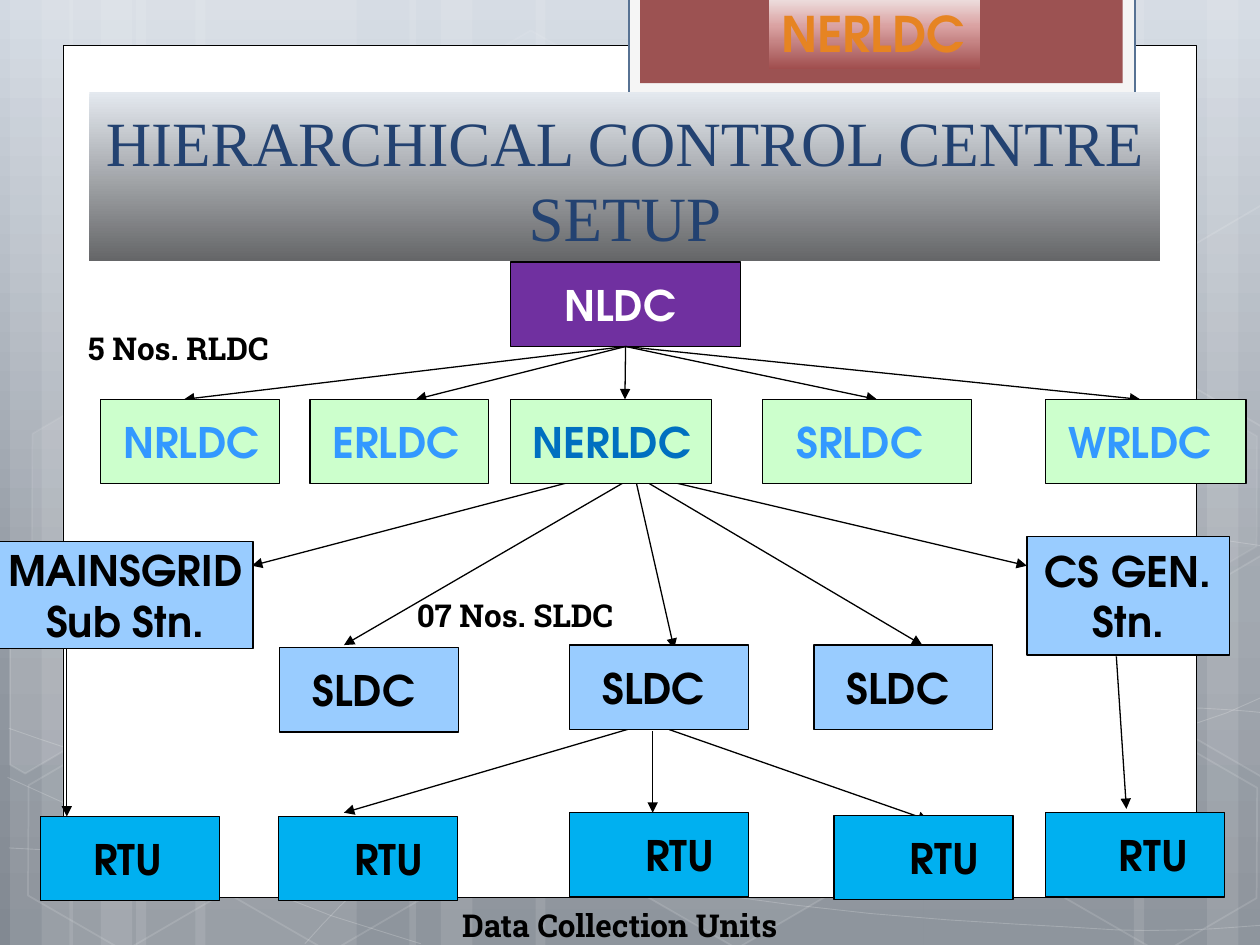
from copy import deepcopy

from lxml import etree
from pptx import Presentation
from pptx.dml.color import RGBColor
from pptx.enum.shapes import MSO_CONNECTOR, MSO_SHAPE
from pptx.enum.text import MSO_ANCHOR, PP_ALIGN
from pptx.oxml.ns import qn
from pptx.util import Inches, Pt

RECT, HEX = MSO_SHAPE.RECTANGLE, MSO_SHAPE.HEXAGON
STRAIGHT = MSO_CONNECTOR.STRAIGHT
LEFT, CENTER = PP_ALIGN.LEFT, PP_ALIGN.CENTER
TOP, MIDDLE, BOTTOM = MSO_ANCHOR.TOP, MSO_ANCHOR.MIDDLE, MSO_ANCHOR.BOTTOM

WHITE = RGBColor(0xFF, 0xFF, 0xFF)
BLACK = RGBColor(0, 0, 0)
SMOKE = RGBColor(0xF5, 0xF5, 0xF5)
STEEL = RGBColor(0x57, 0x72, 0x93)
BRICK = RGBColor(0x9C, 0x52, 0x52)
PURPLE = RGBColor(0x70, 0x30, 0xA0)
MINT = RGBColor(0xCC, 0xFF, 0xCC)
SKY = RGBColor(0x99, 0xCC, 0xFF)
CYAN = RGBColor(0x00, 0xB0, 0xF0)
AZURE = RGBColor(0x33, 0x99, 0xFF)
BLUE = RGBColor(0x00, 0x70, 0xC0)
NAVY = RGBColor(0x23, 0x42, 0x71)
ORANGE = RGBColor(0xE6, 0x84, 0x22)

BACK = [(0, "D2D9E2"), (0.62, "959CA5"), (1, "828992")]
GREY = [(0, "E4E9EF"), (1, "656668")]
ROSE = [(0, "EEE1E1"), (0.4, "DAA2A2"), (1, "A04E4E")]

NODE = dict(name="TeX Gyre Adventor", size=Pt(24), bold=True)
BADGE = dict(NODE, size=Pt(28))
NOTE = dict(name="Roboto Slab", size=Pt(18), bold=True)
TITLE = dict(name="Times New Roman", size=Pt(36), bold=False)

BANDS = [(1.08, 1.75), (0.08, 0.5), (0.33, 0.83), (1.55, 1.75), (0.55, 0.5), (0.8, 0.83),
         (7.33, 1.75), (9.58, 0.5), (9, 0.83), (4.25, 3.08), (3.25, 0.5), (3.5, 0.83)]

# Each curve: a start point, then three points per Bezier segment
CURVES = [
    [(0.07, 6.73), (0.61, 6.76), (1.15, 6.79), (1.9, 6.78), (2.65, 6.77), (3.58, 6.75),
     (4.58, 6.65), (5.58, 6.55), (7, 6.36), (7.92, 6.17), (8.83, 5.98), (9.77, 5.68), (10.07, 5.51)],
    [(0.07, 4.77), (0.36, 4.61), (0.65, 4.46), (1.21, 4.31), (1.78, 4.16), (2.59, 3.94),
     (3.47, 3.87), (4.36, 3.8), (5.44, 3.79), (6.54, 3.87), (7.64, 3.95), (9.47, 4.26), (10.07, 4.34)],
    [(0.06, 6.17), (1.27, 6.72), (2.47, 7.27), (3.34, 7.49)],
    [(0.07, 5.78), (0.38, 5.89), (0.7, 6), (1.28, 6.16), (1.86, 6.31), (2.73, 6.56),
     (3.57, 6.73), (4.4, 6.9), (5.45, 7.08), (6.28, 7.18), (7.11, 7.29), (8, 7.33),
     (8.53, 7.36), (9.05, 7.4), (9.19, 7.38), (9.45, 7.38), (9.71, 7.37), (9.89, 7.35), (10.07, 7.34)],
    [(2.42, 7.49), (2.6, 7.29), (2.78, 7.09), (3.02, 6.91), (3.26, 6.73), (3.6, 6.53),
     (3.88, 6.39), (4.16, 6.25), (4.33, 6.19), (4.7, 6.09), (5.06, 5.99), (5.73, 5.85),
     (6.08, 5.78), (6.44, 5.71), (6.49, 5.71), (6.8, 5.69), (7.11, 5.66), (7.6, 5.63),
     (7.94, 5.62), (8.29, 5.61), (8.86, 5.62), (9.53, 5.62), (9.71, 5.63), (9.88, 5.64), (10.06, 5.66)],
]
# left, top, fill opacity, line opacity
CELLS = [(3.34, 0.36, 4, 8), (4.97, 5.89, 6, 12), (0.11, 5.91, 0, 12), (0.14, 3.12, 7, 8), (1.74, 5.92, 0, 12),
         (7.53, 4.53, 10, 12), (8.34, 5.93, 0, 12), (8.34, 3.14, 7, 8)]
CUTS = [
    ([(0.08, 4.45), (0.19, 4.38), (0.96, 4.82), (0.95, 5.7), (0.2, 6.14), (0.08, 6.07)], 10),
    ([(9.26, 4.85), (10.01, 4.41), (10.09, 4.46), (10.09, 6.13), (10.02, 6.17), (9.26, 5.73)], 4),
    ([(9.26, 2.07), (10.01, 1.63), (10.1, 1.68), (10.09, 3.35), (10.02, 3.39), (9.26, 2.95)], 0),
]
HUB = (4.96, 2.75)
HEADS = [1.46, 3.3, 4.96, 6.96, 9.05]
LINKS = [
    ((4.95, 3.83), (2.73, 5.12)), ((5.05, 3.83), (5.35, 5.15)), ((5.14, 3.83), (7.32, 5.12)),
    ((4.51, 3.83), (2, 4.49)), ((5.35, 3.83), (8.15, 4.49)),
    ((5.08, 5.76), (2.73, 6.45)), ((5.18, 5.8), (5.18, 6.45)), ((5.31, 5.79), (7.37, 6.51)),
    ((8.86, 5.21), (8.94, 6.42)), ((0.53, 5.15), (0.53, 6.48)),
]
# text, left, width, text inset, text colour
REGIONS = [("NRLDC", 0.8, 1.42, 0.18, AZURE), ("ERLDC", 2.46, 1.42, 0.18, AZURE),
           ("NERLDC", 4.05, 1.6, 0.18, BLUE), ("SRLDC", 6.05, 1.66, 0.27, AZURE),
           ("WRLDC", 8.3, 1.59, 0.18, AZURE)]
STATES = [(2.22, 5.14), (4.52, 5.12), (6.46, 5.12)]
# left, top, text inset
UNITS = [(0.32, 6.48, 0.42), (2.21, 6.48, 0.6), (4.52, 6.45, 0.6), (6.62, 6.47, 0.6), (8.3, 6.45, 0.58)]
NOTES = [("5 Nos. RLDC", 0.6, 2.56), ("07 Nos. SLDC", 3.21, 4.68), ("Data Collection Units", 3.57, 7.14)]


def grade(fill, stops, angle):
    """Fill with a linear gradient, angle measured clockwise."""
    fill.gradient()
    fill.gradient_angle = 360 - angle
    first = fill.gradient_stops[0]
    first.color.rgb = WHITE
    part = first._gs.getparent()
    while len(part) < len(stops):
        part.append(deepcopy(part[0]))
    for stop, (place, tone) in zip(fill.gradient_stops, stops):
        stop.position = place
        stop.color.rgb = RGBColor.from_string(tone)


def fade(node, percent):
    """Set the opacity of the solid fill found under node."""
    color = node.find(qn("a:solidFill"))[0]
    etree.SubElement(color, qn("a:alpha"), val=str(percent * 1000))


def bend(points):
    """Sample a chain of cubic Bezier segments."""
    out = [points[0]]
    for i in range(0, len(points) - 1, 3):
        for t in (0.25, 0.5, 0.75, 1):
            mix = ((1 - t) ** 3, 3 * t * (1 - t) ** 2, 3 * t * t * (1 - t), t ** 3)
            out.append(tuple(sum(m * p[k] for m, p in zip(mix, points[i:i + 4])) for k in (0, 1)))
    return out


class Board:
    def __init__(self, slide):
        self.slide = slide
        self.shapes = slide.shapes

    def paint(self, shape, fill=None, line=None, width=0.75, clear=100, dim=100):
        """Set fill and line; clear and dim are their opacities."""
        shape.shadow.inherit = False
        if isinstance(fill, list):
            grade(shape.fill, fill, 90)
        elif fill is None or clear == 0:
            shape.fill.background()
        else:
            shape.fill.solid()
            shape.fill.fore_color.rgb = fill
            if clear < 100:
                fade(shape._element.spPr, clear)
        if line is None:
            shape.line.fill.background()
        else:
            shape.line.color.rgb = line
            shape.line.width = Pt(width)
            if dim < 100:
                fade(shape._element.spPr.find(qn("a:ln")), dim)
        return shape

    def box(self, x, y, w, h, fill=None, line=None, kind=RECT, **look):
        shape = self.shapes.add_shape(kind, Inches(x), Inches(y), Inches(w), Inches(h))
        return self.paint(shape, fill, line, **look)

    def trace(self, points, close=False, **look):
        spots = [(Inches(x), Inches(y)) for x, y in points]
        form = self.shapes.build_freeform(*spots[0])
        form.add_line_segments(spots[1:], close=close)
        return self.paint(form.convert_to_shape(), **look)

    def label(self, shape, text, font, color, align=LEFT, anchor=MIDDLE, inset=0.1, wrap=False):
        frame = shape.text_frame
        form = dict(text=text, word_wrap=wrap, vertical_anchor=anchor, margin_left=Inches(inset))
        for key, value in form.items():
            setattr(frame, key, value)
        for para in frame.paragraphs:
            para.alignment = align
            for run in para.runs:
                for key, value in font.items():
                    setattr(run.font, key, value)
                run.font.color.rgb = color

    def note(self, text, x, y):
        shape = self.shapes.add_textbox(Inches(x), Inches(y), Inches(4), Inches(0.4))
        self.label(shape, text, NOTE, BLACK, anchor=TOP, wrap=True)

    def node(self, text, x, y, w, fill, color=BLACK, h=0.67, **style):
        shape = self.box(x, y, w, h, fill, BLACK)
        self.label(shape, text, NODE, color, **style)
        return shape

    def arrow(self, start, end, source=None):
        ends = [Inches(v) for v in start + end]
        link = self.shapes.add_connector(STRAIGHT, *ends)
        if source is not None:
            link.begin_connect(source, 2)
        link.line.color.rgb = BLACK
        link.line.width = Pt(0.75)
        part = link._element.spPr
        etree.SubElement(part.find(qn("a:ln")), qn("a:tailEnd"), type="triangle")
        etree.SubElement(part, qn("a:effectLst"))


def main():
    deck = Presentation()
    deck.slide_width, deck.slide_height = Inches(10), Inches(7.5)
    board = Board(deck.slides.add_slide(deck.slide_layouts[6]))

    grade(board.slide.background.fill, BACK, 90)
    for x, w in BANDS:
        board.box(x, 0, w, 7.5, WHITE, clear=10)
    for curve in CURVES:
        board.trace(bend(curve), line=WHITE, width=0.5, dim=20)
    for x, y, clear, dim in CELLS:
        cell = board.box(x, y, 1.75, 1.52, WHITE, WHITE, HEX, width=1, clear=clear, dim=dim)
        cell.rotation = 30
        cell.adjustments[0] = 0.285
    for points, clear in CUTS:
        board.trace(points, True, fill=WHITE, line=WHITE, width=1, clear=clear, dim=12)
    board.box(0.5, 0.36, 9, 6.76, WHITE, BLACK, width=0.5)
    board.box(4.99, -0.02, 4.02, 0.76, SMOKE, STEEL, width=1.25)
    board.box(5.08, -0.02, 3.83, 0.68, BRICK)

    top = board.node("NLDC", 4.05, 2.08, 1.83, PURPLE, WHITE, inset=0.43)
    for x in HEADS:
        board.arrow(HUB, (x, 3.17), top)
    for start, end in LINKS:
        board.arrow(start, end)
    for text, x, w, inset, color in REGIONS:
        board.node(text, x, 3.17, w, MINT, color, inset=inset)
    for x, y in STATES:
        board.node("SLDC", x, y, 1.42, SKY, inset=0.26)
    for x, y, inset in UNITS:
        board.node("RTU", x, y, 1.42, CYAN, inset=inset)
    board.node("MAINSGRID\nSub Stn.", -0.02, 4.3, 2.03, SKY, h=0.85, align=CENTER)
    board.node("CS GEN.\nStn.", 8.15, 4.26, 1.61, SKY, h=0.94, align=CENTER)
    for text, x, y in NOTES:
        board.note(text, x, y)

    title = board.box(0.71, 0.73, 8.5, 1.34, GREY)
    board.label(title, "HIERARCHICAL CONTROL CENTRE SETUP", TITLE, NAVY, CENTER, BOTTOM, wrap=True)
    badge = board.box(6.1, -0.02, 1.68, 0.57, ROSE, BRICK)
    board.label(badge, "NERLDC", BADGE, ORANGE)
    deck.save("out.pptx")


if __name__ == "__main__":
    main()
